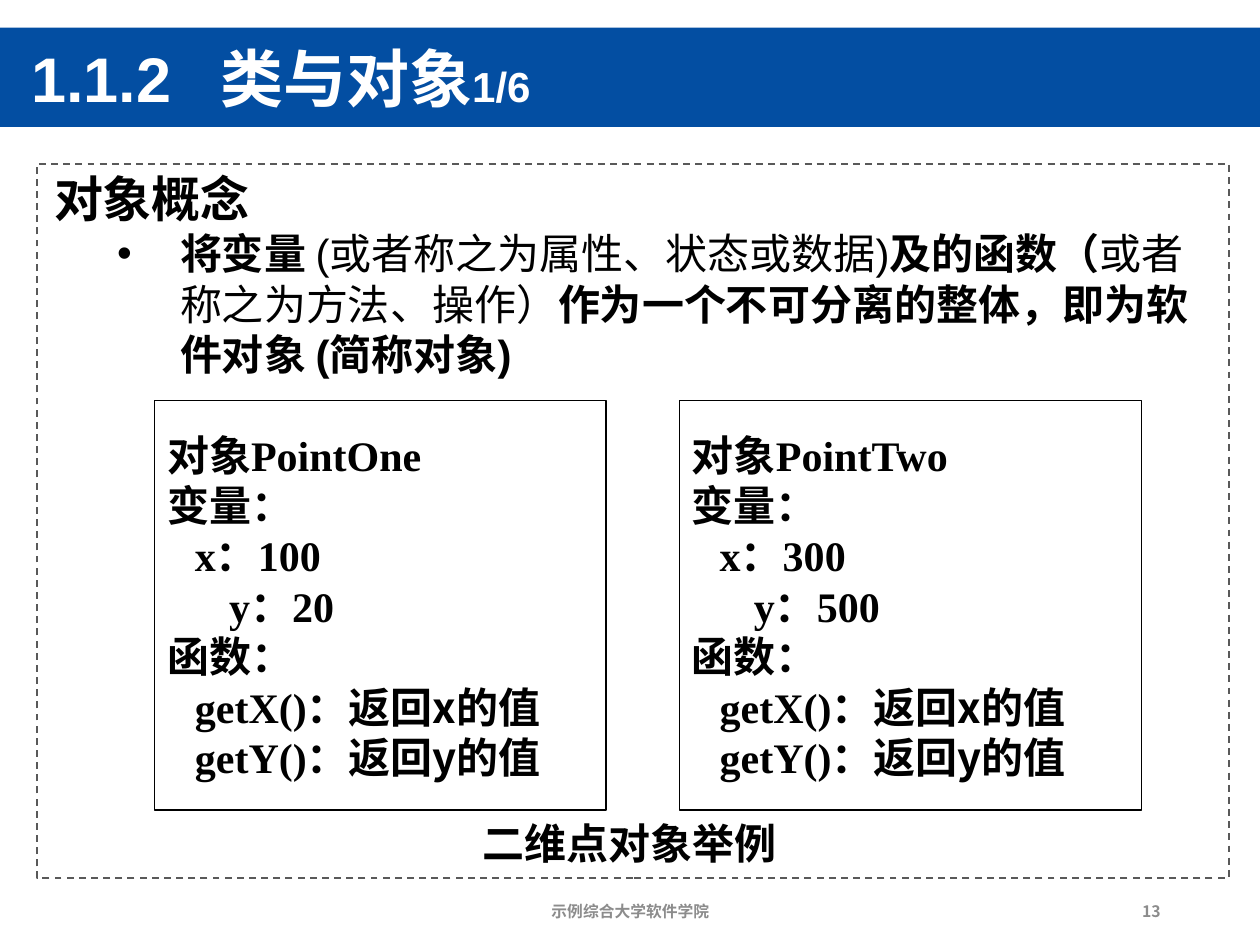
"""Build the slide on classes and objects with two example point objects."""
import pptx
import pptx.dml.color
import pptx.enum.dml
import pptx.enum.shapes
import pptx.enum.text
import pptx.oxml.ns
import pptx.util
from lxml import etree

Cm = pptx.util.Cm
Pt = pptx.util.Pt
RGBColor = pptx.dml.color.RGBColor
PP_ALIGN = pptx.enum.text.PP_ALIGN
ANCHOR = pptx.enum.text.MSO_ANCHOR
qn = pptx.oxml.ns.qn

BLUE = RGBColor(0x03, 0x4E, 0xA2)
WHITE = RGBColor(0xFF, 0xFF, 0xFF)
BLACK = RGBColor(0x00, 0x00, 0x00)
GREY = RGBColor(0x8C, 0x8C, 0x8C)
DARK_GREY = RGBColor(0x59, 0x59, 0x59)

SANS = "Arial"
CJK = "Noto Sans CJK SC"
SERIF = "Times New Roman"


def add_rect(s, left, top, width, height, fill=None, line=None, weight=0.75, dash=None):
    sp = s.shapes.add_shape(
        pptx.enum.shapes.MSO_SHAPE.RECTANGLE, Cm(left), Cm(top), Cm(width), Cm(height)
    )
    sp.shadow.inherit = False
    if fill is None:
        sp.fill.background()
    else:
        sp.fill.solid()
        sp.fill.fore_color.rgb = fill
    if line is None:
        sp.line.fill.background()
    else:
        sp.line.color.rgb = line
        sp.line.width = Pt(weight)
        sp.line.dash_style = dash
    return sp


def add_frame(s, left, top, width, height, anchor=ANCHOR.TOP):
    tf = s.shapes.add_textbox(Cm(left), Cm(top), Cm(width), Cm(height)).text_frame
    tf.word_wrap = True
    tf.vertical_anchor = anchor
    return tf


def add_paragraph(tf, align=PP_ALIGN.LEFT, margin=0, hanging=0, bullet=None, tab=None):
    first = tf.paragraphs[0]
    p = tf.add_paragraph() if first.runs else first
    p.alignment = align
    pPr = p._p.get_or_add_pPr()
    pPr.set("marL", str(Cm(margin)))
    pPr.set("indent", str(Cm(-hanging)))
    if bullet:
        etree.SubElement(pPr, qn("a:buFont"), typeface=SANS)
        etree.SubElement(pPr, qn("a:buChar"), char=bullet)
    if tab:
        tabs = etree.SubElement(pPr, qn("a:tabLst"))
        etree.SubElement(tabs, qn("a:tab"), pos=str(Cm(tab)), algn="l")
    return p


def add_text(p, text, font=CJK, size=24, color=BLACK, bold=True):
    r = p.add_run()
    r.text = text
    r.font.name = font
    r.font.size = Pt(size)
    r.font.color.rgb = color
    r.font.bold = bold
    etree.SubElement(r._r.get_or_add_rPr(), qn("a:ea"), typeface=CJK)


def add_title(s):
    add_rect(s, 0, 0.56, 25.4, 2, fill=BLUE)
    tf = add_frame(s, 0.38, 0.74, 18.06, 1.83, ANCHOR.MIDDLE)
    p = add_paragraph(tf, tab=3.83)
    p.line_spacing = 0.9
    add_text(p, "1.1.2\t类与对象", SANS, 36, WHITE)
    add_text(p, "1/6", SANS, 24, WHITE)


def add_concept(s):
    tf = add_frame(s, 0.84, 3.28, 23.93, 4.52)
    add_text(add_paragraph(tf), "对象概念", SANS, 28)
    p = add_paragraph(tf, margin=2.54, hanging=1.27, bullet="•")
    for text, bold in (
        ("将变量 ", True),
        ("(或者称之为属性、状态或数据)", False),
        ("及的函数（", True),
        ("或者称之为方法、操作）", False),
        ("作为一个不可分离的整体，即为软件对象 (简称对象)", True),
    ):
        add_text(p, text, SANS, bold=bold)


def add_object_card(s, left, width, name, x, y):
    sp = add_rect(s, left, 8.08, width, 8.25, line=BLACK)
    tf = sp.text_frame
    tf.word_wrap = True
    tf.vertical_anchor = ANCHOR.MIDDLE
    for margin, runs in (
        (0, (("对象", CJK), (name, SERIF))),
        (0, (("变量：", CJK),)),
        (0.56, ((f"x：{x}", SERIF),)),
        (1.25, ((f"y：{y}", SERIF),)),
        (0, (("函数：", CJK),)),
        (0.56, (("getX()：", SERIF), ("返回x的值", CJK))),
        (0.56, (("getY()：", SERIF), ("返回y的值", CJK))),
    ):
        p = add_paragraph(tf, margin=margin)
        for text, font in runs:
            add_text(p, text, font)


def add_footer(s, left, width, text, align):
    tf = add_frame(s, left, 17.86, width, 1.02, ANCHOR.MIDDLE)
    add_text(add_paragraph(tf, align), text, size=9, color=GREY)


def main():
    prs = pptx.Presentation()
    prs.slide_width = Cm(25.4)
    prs.slide_height = Cm(19.05)
    s = prs.slides.add_slide(prs.slide_layouts[6])

    add_title(s)
    add_footer(s, 8.41, 8.59, "示例综合大学软件学院", PP_ALIGN.CENTER)
    add_footer(s, 17.93, 5.72, "13", PP_ALIGN.RIGHT)
    add_rect(s, 0.74, 3.3, 24.03, 14.4, line=DARK_GREY, weight=1,
             dash=pptx.enum.dml.MSO_LINE.DASH)
    add_concept(s)
    add_object_card(s, 3.12, 9.1, "PointOne", 100, 20)
    add_object_card(s, 13.7, 9.32, "PointTwo", 300, 500)
    add_text(add_paragraph(add_frame(s, 9.47, 16.36, 7.62, 1.27)), "二维点对象举例")

    prs.save("out.pptx")


if __name__ == "__main__":
    main()
